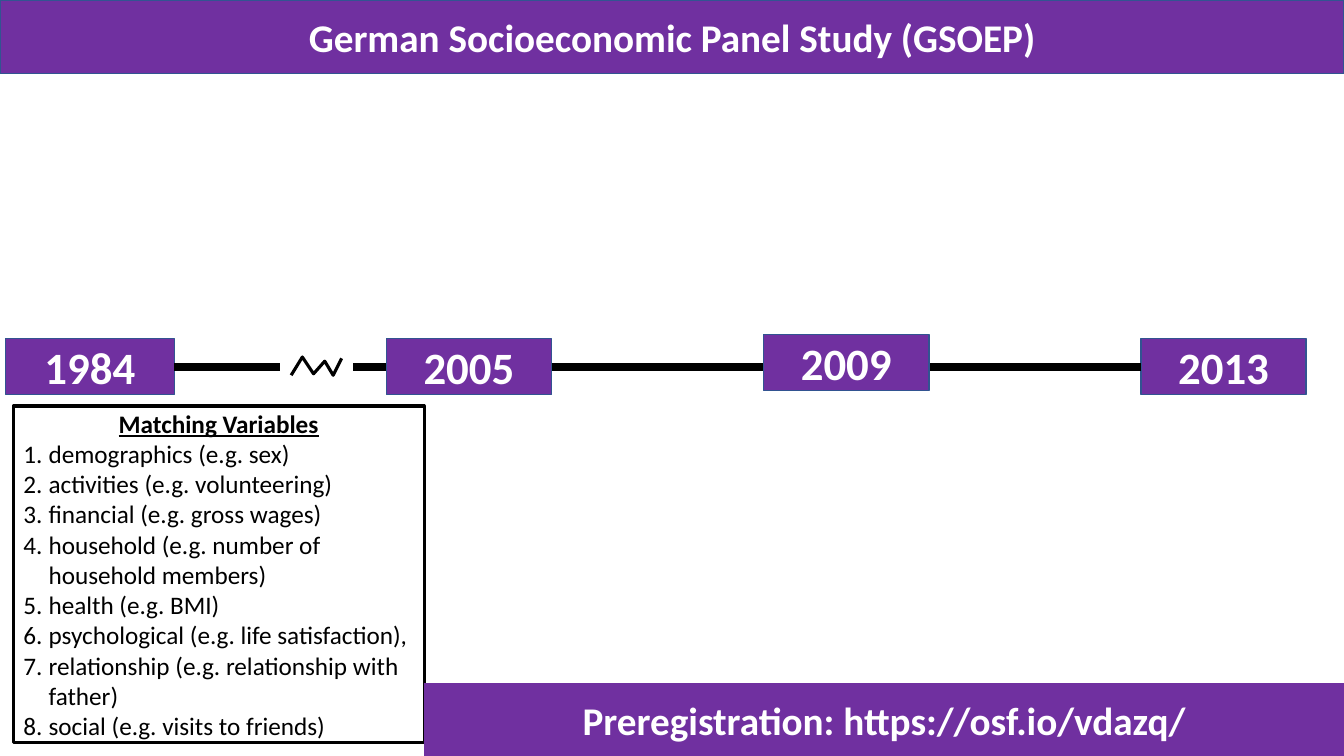
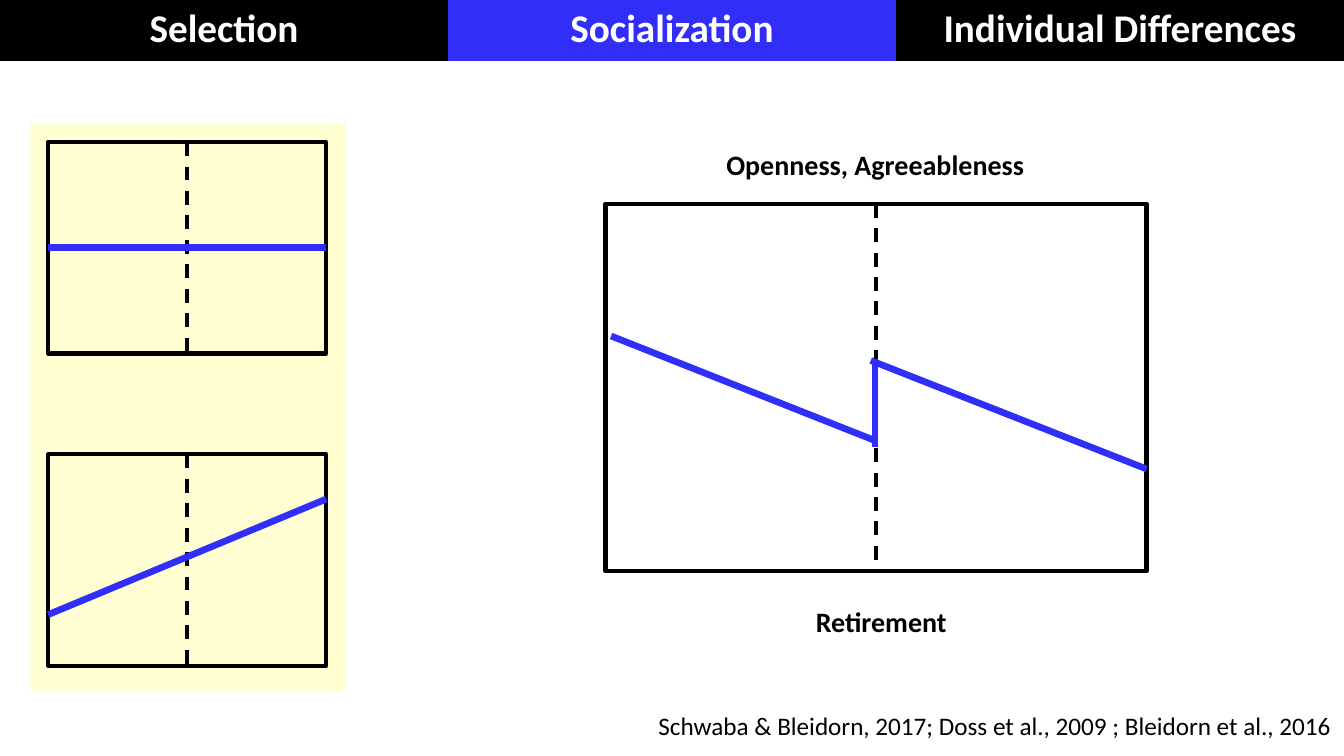
from dataclasses import dataclass
from typing import NamedTuple, Optional, Union

from lxml import etree
from pptx import Presentation
from pptx.dml.color import RGBColor
from pptx.enum.dml import MSO_LINE
from pptx.enum.shapes import MSO_CONNECTOR, MSO_SHAPE
from pptx.enum.text import MSO_ANCHOR, MSO_AUTO_SIZE, PP_ALIGN
from pptx.oxml.ns import qn
from pptx.util import Pt

SLIDE_W, SLIDE_H = 960, 540
FONT = "Calibri"
PURPLE, EDGE, BLUE = "7030A0", "325491", "302EF8"
BLACK, WHITE, YELLOW = "000000", "FFFFFF", "FFFD78"
NO_STYLE_NO_GRID = "{2D5ABB26-0587-4C30-8999-92F81FD0307C}"
TOP, LEFT, BOTTOM, RIGHT = range(4)
TIMELINE_Y = 262

MATCHING_VARIABLES = (
    "demographics (e.g. sex)",
    "activities (e.g. volunteering)",
    "financial (e.g. gross wages)",
    "household (e.g. number of household members)",
    "health (e.g. BMI)",
    "psychological (e.g. life satisfaction),",
    "relationship (e.g. relationship with father)",
    "social (e.g. visits to friends)",
)


class Point(NamedTuple):
    x: float
    y: float


class Side(NamedTuple):
    """The middle of one side of a rectangle, to which a line is joined."""
    shape: object
    site: int


class Box(NamedTuple):
    left: float
    top: float
    width: float
    height: float

    def lengths(self) -> tuple:
        return tuple(Pt(value) for value in self)


@dataclass(frozen=True)
class Wave:
    year: str
    box: Box


@dataclass(frozen=True)
class Caption:
    text: str
    box: Box
    size: float = 20
    bold: bool = True
    align: PP_ALIGN = PP_ALIGN.CENTER


@dataclass(frozen=True)
class Tab:
    text: str
    color: str


WAVES = (
    Wave("1984", Box(4, 242, 120.5, 40)),
    Wave("2005", Box(276, 242, 118, 40)),
    Wave("2013", Box(815, 242, 118, 40)),
    Wave("2009", Box(545.5, 239, 118, 40)),
)
BREAK_MARK = (Point(208, 268.5), Point(215.5, 255), Point(224, 267),
              Point(232.5, 258), Point(237.5, 268), Point(244, 255.5))
TABS = (Tab("Selection", BLACK), Tab("Socialization", BLUE),
        Tab("Individual Differences", BLACK))
CAPTIONS = (
    Caption("Schwaba & Bleidorn, 2017; Doss et al., 2009 ; Bleidorn et al., 2016",
            Box(444, 504, 514, 29), 18, False, PP_ALIGN.RIGHT),
    Caption("Retirement", Box(552, 428.5, 155, 31.5)),
    Caption("Openness, Agreeableness", Box(507.5, 101.5, 235.5, 31.5)),
)


def rgb(color: str) -> RGBColor:
    return RGBColor.from_string(color)


def write(frame, text: str, *, size: float, color: str = WHITE, bold: bool = True,
          underline: bool = False, align: PP_ALIGN = PP_ALIGN.CENTER,
          numbered: bool = False) -> None:
    """Fill the empty first paragraph of the frame, or add one after the last."""
    paragraph = frame.paragraphs[0]
    if paragraph.runs:
        paragraph = frame.add_paragraph()
    paragraph.alignment = align
    paragraph.space_before = Pt(0)
    indent = Pt(18) if numbered else 0
    properties = paragraph._p.get_or_add_pPr()
    properties.set("marL", str(indent))
    properties.set("indent", str(-indent))
    if numbered:
        etree.SubElement(properties, qn("a:buFont"), typeface="+mj-lt")
        etree.SubElement(properties, qn("a:buAutoNum"), type="arabicPeriod")
    else:
        etree.SubElement(properties, qn("a:buNone"))
    run = paragraph.add_run()
    run.text = text
    font = run.font
    font.name, font.size = FONT, Pt(size)
    font.bold, font.underline = bold, underline
    font.color.rgb = rgb(color)


def paint(shape, fill: Optional[str] = None, line: Optional[str] = None,
          width: float = 1, opacity: int = 100) -> None:
    if fill:
        shape.fill.solid()
        shape.fill.fore_color.rgb = rgb(fill)
        if opacity < 100:
            tint = shape.element.find(".//" + qn("a:srgbClr"))
            etree.SubElement(tint, qn("a:alpha"), val=str(opacity * 1000))
    else:
        shape.fill.background()
    if line:
        shape.line.color.rgb = rgb(line)
        shape.line.width = Pt(width)
    else:
        shape.line.fill.background()


def add_box(slide, box: Box, **look):
    shape = slide.shapes.add_shape(MSO_SHAPE.RECTANGLE, *box.lengths())
    shape.shadow.inherit = False
    paint(shape, **look)
    return shape


def add_band(slide, box: Box, text: str, size: float, **look):
    band = add_box(slide, box, fill=PURPLE, **look)
    band.text_frame.vertical_anchor = MSO_ANCHOR.MIDDLE
    write(band.text_frame, text, size=size)
    return band


def place(placeholder, box: Box, **look):
    """Move and paint a placeholder, and return its text frame."""
    (placeholder.left, placeholder.top,
     placeholder.width, placeholder.height) = box.lengths()
    paint(placeholder, **look)
    frame = placeholder.text_frame
    frame.auto_size = MSO_AUTO_SIZE.NONE
    frame.word_wrap = True
    frame.vertical_anchor = MSO_ANCHOR.MIDDLE
    return frame


def add_line(slide, start: Union[Point, Side], end: Union[Point, Side],
             color: str, width: float, dashed: bool = False) -> None:
    ends = [Point(0, 0) if isinstance(tip, Side) else tip for tip in (start, end)]
    line = slide.shapes.add_connector(
        MSO_CONNECTOR.STRAIGHT, *(Pt(value) for tip in ends for value in tip))
    if isinstance(start, Side):
        line.begin_connect(*start)
    if isinstance(end, Side):
        line.end_connect(*end)
    line.line.color.rgb = rgb(color)
    line.line.width = Pt(width)
    if dashed:
        line.line.dash_style = MSO_LINE.DASH
    etree.SubElement(line.element.find(qn("p:spPr")), qn("a:effectLst"))


def add_panel(slide, box: Box):
    """Draw a chart frame with a dashed line at the life event."""
    frame = add_box(slide, box, line=BLACK, width=3)
    add_line(slide, Side(frame, TOP), Side(frame, BOTTOM), BLACK, 2.5, dashed=True)
    return frame


def add_trajectory(slide, start: Union[Point, Side], end: Union[Point, Side]) -> None:
    add_line(slide, start, end, BLUE, 4.75)


def add_caption(slide, caption: Caption) -> None:
    frame = slide.shapes.add_textbox(*caption.box.lengths()).text_frame
    frame.word_wrap = True
    write(frame, caption.text, size=caption.size, color=BLACK,
          bold=caption.bold, align=caption.align)


def add_tabs(slide) -> None:
    holder = slide.shapes.add_table(1, len(TABS), *Box(0, 0, SLIDE_W, 43.5).lengths())
    holder.element.find(".//" + qn("a:tableStyleId")).text = NO_STYLE_NO_GRID
    for cell, tab in zip(holder.table.rows[0].cells, TABS):
        cell.fill.solid()
        cell.fill.fore_color.rgb = rgb(tab.color)
        write(cell.text_frame, tab.text, size=28)


def build_panel_study(deck) -> None:
    slide = deck.slides.add_slide(deck.slide_layouts[1])
    title = place(slide.shapes.title, Box(0, 0, SLIDE_W, 52.5), fill=PURPLE, line=EDGE)
    write(title, "German Socioeconomic Panel Study (GSOEP)", size=28)

    matching = place(slide.placeholders[1], Box(9.5, 290, 293.5, 240.5),
                     line=BLACK, width=2.25)
    write(matching, "Matching Variables", size=18, color=BLACK, underline=True)
    for variable in MATCHING_VARIABLES:
        write(matching, variable, size=18, color=BLACK, bold=False,
              align=PP_ALIGN.LEFT, numbered=True)

    *joined_waves, middle_wave = WAVES
    first, second, last = (add_band(slide, wave.box, wave.year, 32, line=EDGE)
                           for wave in joined_waves)
    for start, end in (
        (Side(first, RIGHT), Point(200, TIMELINE_Y)),
        (Point(252.5, TIMELINE_Y), Side(second, LEFT)),
        (Side(second, RIGHT), Side(last, LEFT)),
    ):
        add_line(slide, start, end, BLACK, 6)
    add_band(slide, middle_wave.box, middle_wave.year, 32, line=EDGE)

    outline = slide.shapes.build_freeform(*BREAK_MARK[0], scale=float(Pt(1)))
    outline.add_line_segments(BREAK_MARK[1:], close=False)
    break_mark = outline.convert_to_shape()
    break_mark.shadow.inherit = False
    paint(break_mark, line=BLACK, width=2.25)

    add_band(slide, Box(303, 488, SLIDE_W - 303, SLIDE_H - 488),
             "Preregistration: https://osf.io/vdazq/", 28)


def build_socialization(deck) -> None:
    slide = deck.slides.add_slide(deck.slide_layouts[6])
    add_box(slide, Box(21.5, 88, 225.5, 405.5), fill=YELLOW, opacity=32)

    stable = add_panel(slide, Box(34.5, 101.5, 198.5, 151))
    add_trajectory(slide, Side(stable, LEFT), Side(stable, RIGHT))

    add_panel(slide, Box(34.5, 324.5, 198.5, 151))
    add_trajectory(slide, Point(34.5, 439), Point(233, 356.5))

    add_panel(slide, Box(432.5, 145.5, 386.5, 262.5))
    for start, end in (
        (Point(625, 319), Point(625, 256.5)),
        (Point(819, 335), Point(622, 257.5)),
        (Point(624.5, 314.5), Point(436.5, 240)),
    ):
        add_trajectory(slide, start, end)

    add_tabs(slide)
    for caption in CAPTIONS:
        add_caption(slide, caption)


def main() -> None:
    deck = Presentation()
    deck.slide_width, deck.slide_height = Pt(SLIDE_W), Pt(SLIDE_H)
    build_panel_study(deck)
    build_socialization(deck)
    deck.save("out.pptx")


if __name__ == "__main__":
    main()
